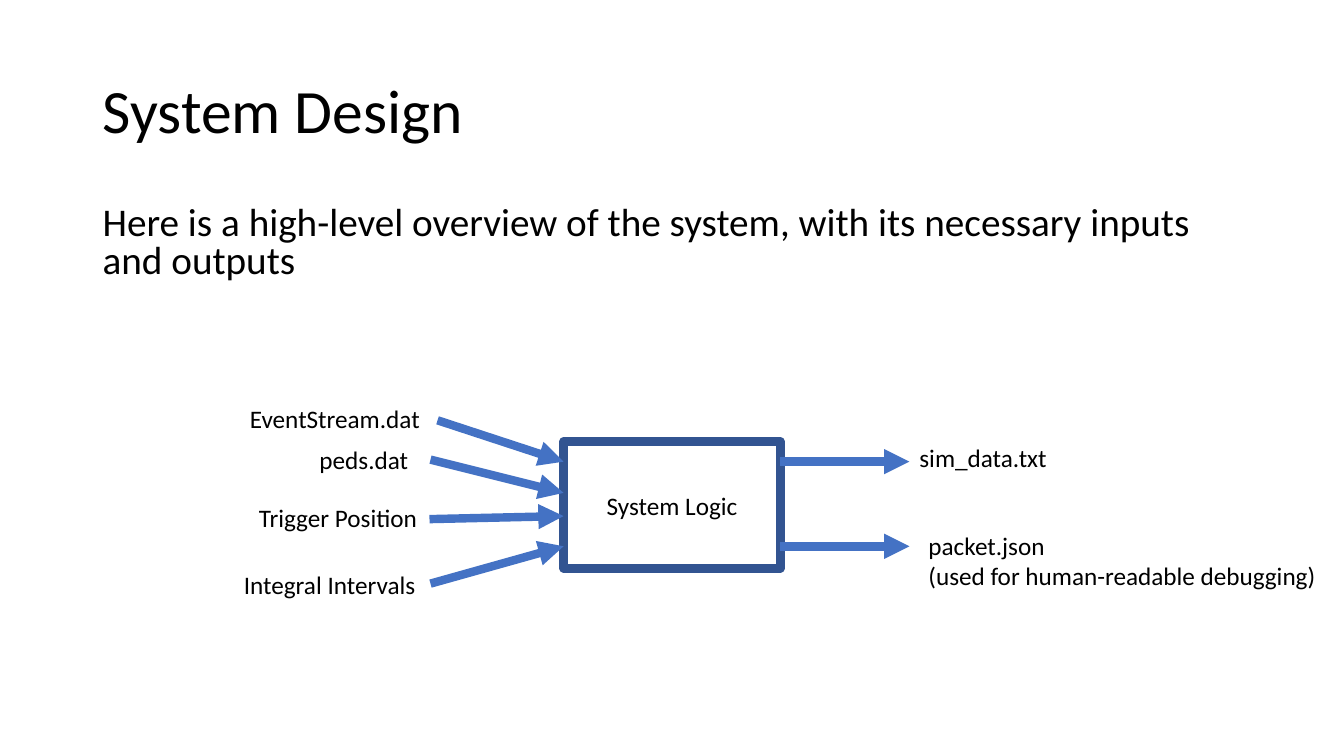
"""Build the System Design slide: inputs and outputs around the system logic box."""
from typing import NamedTuple

from lxml.etree import SubElement
from pptx import Presentation
from pptx.dml.color import RGBColor
from pptx.enum.shapes import MSO_CONNECTOR as CONN, MSO_SHAPE as SHAPE
from pptx.enum.text import MSO_ANCHOR as ANCHOR, MSO_AUTO_SIZE as AUTO, PP_ALIGN as ALIGN
from pptx.oxml.ns import qn
from pptx.util import Emu, Pt

PX = 9144
FONT = "Calibri"
COLORS = {"text": "000000", "border": "325491", "arrow": "4472C4"}


class Box(NamedTuple):
    x: int
    y: int
    w: int
    h: int


class Label(NamedTuple):
    text: str
    box: Box


class Arrow(NamedTuple):
    x1: int
    y1: int
    x2: int
    y2: int


TITLE = Box(92, 40, 1150, 145)
INTRO = Box(92, 200, 1150, 92)
LOGIC = Box(559, 438, 215, 126)
LOGIC_RIGHT = LOGIC.x + LOGIC.w
OUTPUT_X = 902

LABELS = [
    Label("EventStream.dat", Box(238, 395, 195, 40)),
    Label("peds.dat", Box(307, 436, 119, 40)),
    Label("Trigger Position", Box(247, 493, 177, 40)),
    Label("Integral Intervals", Box(232, 560, 195, 40)),
    Label("sim_data.txt", Box(OUTPUT_X, 434, 155, 40)),
    Label("packet.json\n(used for human-readable debugging)", Box(911, 521, 422, 71)),
]
ARROWS = [
    Arrow(434, 417, LOGIC.x, 458),
    Arrow(427, 456, LOGIC.x, 489),
    Arrow(426, 515, LOGIC.x, 512),
    Arrow(427, 579, LOGIC.x, 542),
    Arrow(LOGIC_RIGHT, 458, OUTPUT_X, 458),
    Arrow(LOGIC_RIGHT, 542, OUTPUT_X, 542),
]


def px(n: int) -> Emu:
    """Turn px into EMU."""
    return Emu(n * PX)


def rgb(name: str) -> RGBColor:
    """Look up a named colour."""
    return RGBColor.from_string(COLORS[name])


def write(sp, text: str, *, size: int = 18, align=ALIGN.LEFT, anchor=ANCHOR.TOP,
          spacing: float = 1.0, before: int = 0) -> None:
    """Fill a shape with formatted text, one paragraph per line."""
    tf = sp.text_frame
    tf.text = text
    tf.word_wrap = True
    tf.auto_size = AUTO.NONE
    tf.vertical_anchor = anchor
    for p in tf.paragraphs:
        p.alignment = align
        p.line_spacing = spacing
        p.space_before = Pt(before)
        for r in p.runs:
            r.font.name = FONT
            r.font.size = Pt(size)
            r.font.color.rgb = rgb("text")


def add_text(slide, text: str, box: Box, **fmt) -> None:
    """Add a text box."""
    write(slide.shapes.add_textbox(*map(px, box)), text, **fmt)


def add_logic(slide) -> None:
    """Add the outlined system box."""
    sp = slide.shapes.add_shape(SHAPE.RECTANGLE, *map(px, LOGIC))
    sp.shadow.inherit = False
    sp.fill.background()
    sp.line.color.rgb = rgb("border")
    sp.line.width = Pt(6)
    write(sp, "System Logic", align=ALIGN.CENTER, anchor=ANCHOR.MIDDLE)


def add_arrow(slide, arrow: Arrow) -> None:
    """Add a straight arrow with a triangular head."""
    line = slide.shapes.add_connector(CONN.STRAIGHT, *map(px, arrow))
    line.line.color.rgb = rgb("arrow")
    line.line.width = Pt(6)
    SubElement(line.line._get_or_add_ln(), qn("a:tailEnd"), type="triangle")
    SubElement(line._element.spPr, qn("a:effectLst"))


def main() -> None:
    """Build and save the slide."""
    prs = Presentation()
    prs.slide_width, prs.slide_height = px(1333), px(750)
    slide = prs.slides.add_slide(prs.slide_layouts[5])
    title = slide.shapes.title
    title.left, title.top, title.width, title.height = map(px, TITLE)
    write(title, "System Design", size=44, anchor=ANCHOR.MIDDLE, spacing=0.9)
    add_text(slide, "Here is a high-level overview of the system, "
             "with its necessary inputs and outputs", INTRO,
             size=28, spacing=0.8, before=10)
    add_logic(slide)
    for arrow in ARROWS:
        add_arrow(slide, arrow)
    for label in LABELS:
        add_text(slide, label.text, label.box)
    prs.save("out.pptx")


if __name__ == "__main__":
    main()
